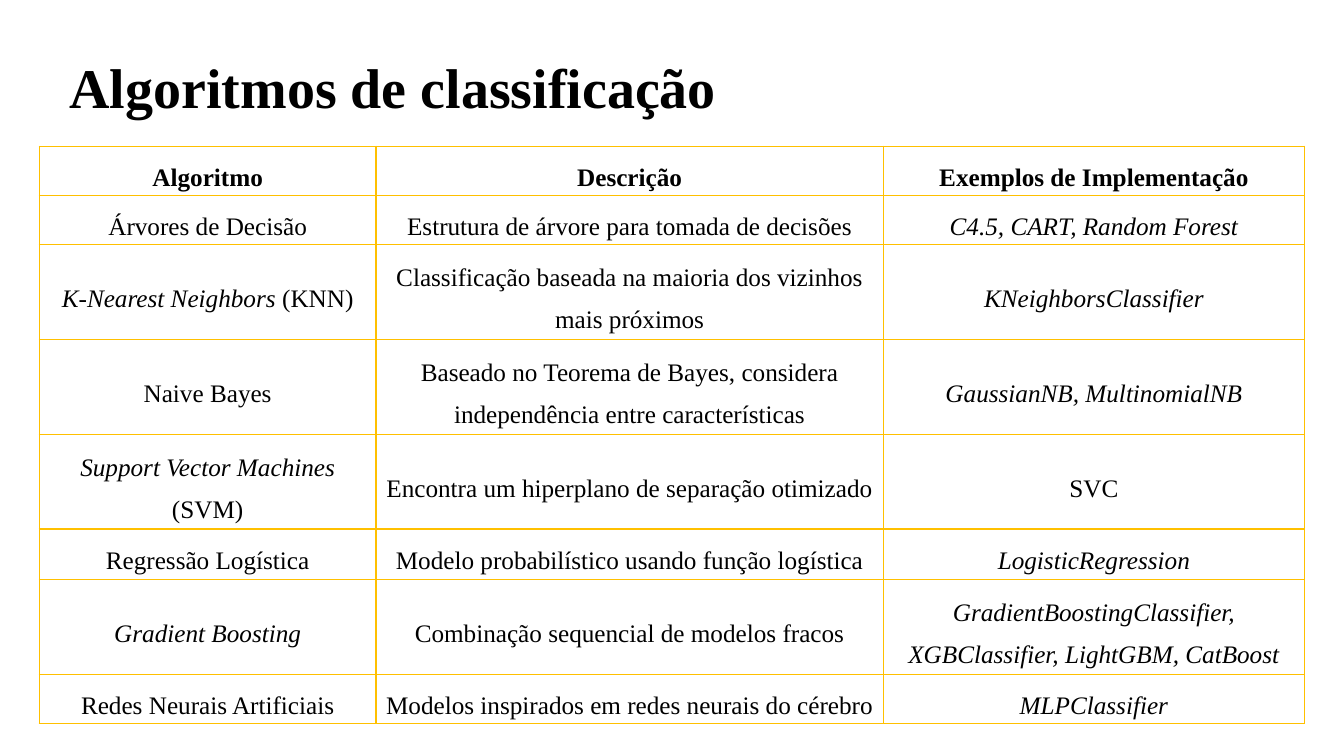
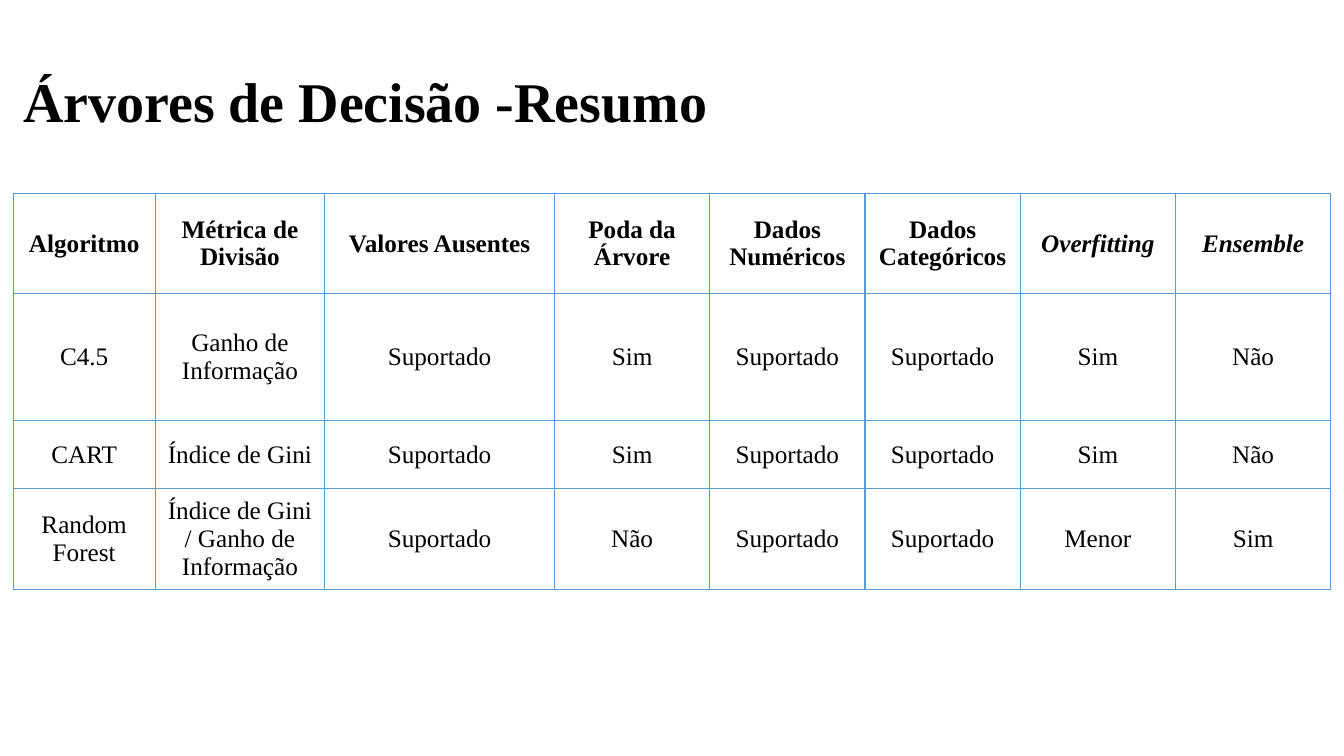
from lxml import etree
from pptx import Presentation
from pptx.dml.color import RGBColor
from pptx.enum import text
from pptx.oxml.ns import qn
from pptx.util import Inches, Pt

FONT = "Times New Roman"
BLACK = "000000"
GOLD = "FFC000"
BLUE = "5B9BD5"
TITLE_SIZE, CELL_SIZE = 40, 18
TITLE_ONLY = 5

# Asterisks enclose italic words
ALGORITHMS = [
    ("Algoritmo", "Descrição", "Exemplos de Implementação"),
    ("Árvores de Decisão", "Estrutura de árvore para tomada de decisões",
     "*C4.5, CART, Random Forest*"),
    ("*K-Nearest Neighbors *(KNN)",
     "Classificação baseada na maioria dos vizinhos mais próximos",
     "*KNeighborsClassifier*"),
    ("Naive Bayes",
     "Baseado no Teorema de Bayes, considera independência entre características",
     "*GaussianNB, MultinomialNB*"),
    ("*Support Vector Machines *(SVM)",
     "Encontra um hiperplano de separação otimizado", "SVC"),
    ("Regressão Logística", "Modelo probabilístico usando função logística",
     "*LogisticRegression*"),
    ("*Gradient Boosting*", "Combinação sequencial de modelos fracos",
     "*GradientBoostingClassifier, XGBClassifier, LightGBM, CatBoost*"),
    ("Redes Neurais Artificiais", "Modelos inspirados em redes neurais do cérebro",
     "*MLPClassifier*"),
]

TREES = [
    ("Algoritmo", "Métrica de Divisão", "Valores Ausentes", "Poda da Árvore",
     "Dados Numéricos", "Dados Categóricos", "*Overfitting*", "*Ensemble*"),
    ("C4.5", "Ganho de Informação", "Suportado", "Sim",
     "Suportado", "Suportado", "Sim", "Não"),
    ("CART", "Índice de Gini", "Suportado", "Sim",
     "Suportado", "Suportado", "Sim", "Não"),
    ("Random Forest", "Índice de Gini / Ganho de Informação", "Suportado", "Não",
     "Suportado", "Suportado", "Menor", "Sim"),
]


def rgb(color):
    return RGBColor.from_string(color)


def add_runs(paragraph, marked, size, bold):
    """Add the marked text run by run, italic between asterisks."""
    for position, part in enumerate(marked.split("*")):
        if part:
            run = paragraph.add_run()
            run.text = part
            font = run.font
            font.name, font.size = FONT, Pt(size)
            font.bold, font.italic = bold, position % 2 == 1
            font.color.rgb = rgb(BLACK)


def set_borders(cell, color):
    properties = cell._tc.get_or_add_tcPr()
    for side in ("lnL", "lnR", "lnT", "lnB"):
        line = etree.SubElement(properties, qn("a:" + side), w=str(Pt(1)))
        fill = etree.SubElement(line, qn("a:solidFill"))
        etree.SubElement(fill, qn("a:srgbClr"), val=color)


def fill_cell(cell, marked, bold, color, margins, spacing):
    set_borders(cell, color)
    cell.fill.background()
    cell.vertical_anchor = text.MSO_ANCHOR.MIDDLE
    side, edge = margins
    cell.margin_left = cell.margin_right = Inches(side)
    cell.margin_top = cell.margin_bottom = Inches(edge)
    paragraph = cell.text_frame.paragraphs[0]
    paragraph.alignment = text.PP_ALIGN.CENTER
    paragraph.line_spacing = spacing
    add_runs(paragraph, marked, CELL_SIZE, bold)


def add_grid(slide, left, top, widths, heights, rows, color,
             margins=(0.1, 0.05), spacing=1.0):
    """Add a bordered table whose first row is bold."""
    table = slide.shapes.add_table(
        len(heights), len(widths), Inches(left), Inches(top),
        Inches(sum(widths)), Inches(sum(heights))).table
    table.first_row = table.horz_banding = False
    for column, width in zip(table.columns, widths):
        column.width = Inches(width)
    for row, height in zip(table.rows, heights):
        row.height = Inches(height)
    for r, labels in enumerate(rows):
        for c, label in enumerate(labels):
            fill_cell(table.cell(r, c), label, r == 0, color, margins, spacing)


def add_titled_slide(deck, heading, left, top, width):
    slide = deck.slides.add_slide(deck.slide_layouts[TITLE_ONLY])
    title = slide.shapes.title
    title.left, title.top = Inches(left), Inches(top)
    title.width, title.height = Inches(width), Inches(0.99)
    frame = title.text_frame
    frame.word_wrap = True
    frame.auto_size = text.MSO_AUTO_SIZE.SHAPE_TO_FIT_TEXT
    frame.vertical_anchor = text.MSO_ANCHOR.TOP
    paragraph = frame.paragraphs[0]
    paragraph.alignment = text.PP_ALIGN.LEFT
    paragraph.line_spacing = 1.5
    add_runs(paragraph, heading, TITLE_SIZE, True)
    return slide


def build_algorithms(deck):
    slide = add_titled_slide(deck, "Algoritmos de classificação", 0.59, 0.14, 6.72)
    one_line, two_lines = 0.46, 0.94
    heights = [0.43, one_line] + [two_lines] * 3 + [0.5, two_lines, one_line]
    add_grid(slide, 0.39, 1.45, [3.34, 5.03, 4.18], heights, ALGORITHMS, GOLD,
             margins=(0.04, 0.02), spacing=1.5)


def build_tree_summary(deck):
    slide = add_titled_slide(deck, "Árvores de Decisão -Resumo", 0.13, 0.28, 8.25)
    add_grid(slide, 0.13, 1.92, [1.41, 1.68, 2.28] + [1.54] * 5,
             [0.99, 1.26, 0.68, 0.97], TREES, BLUE)


def main():
    deck = Presentation()
    deck.slide_width, deck.slide_height = Inches(13.33), Inches(7.5)
    build_algorithms(deck)
    build_tree_summary(deck)
    deck.save("out.pptx")


if __name__ == "__main__":
    main()
